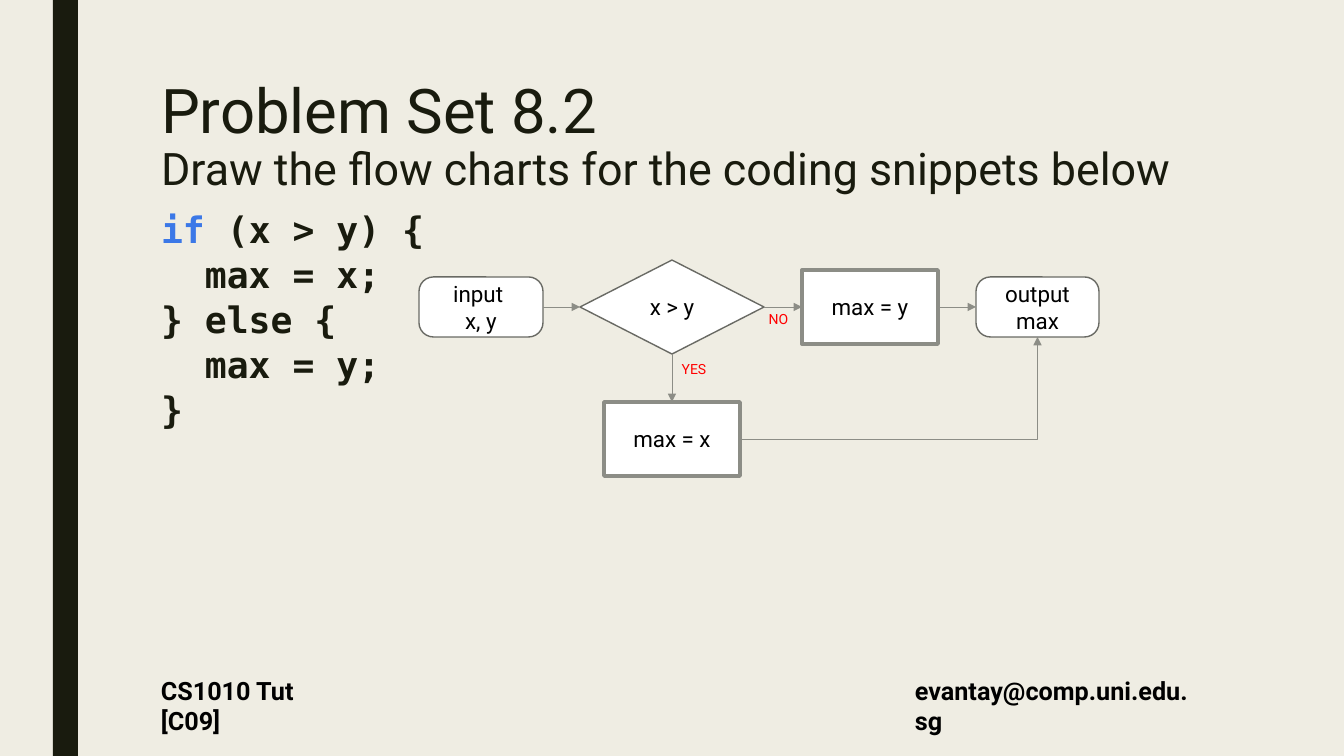
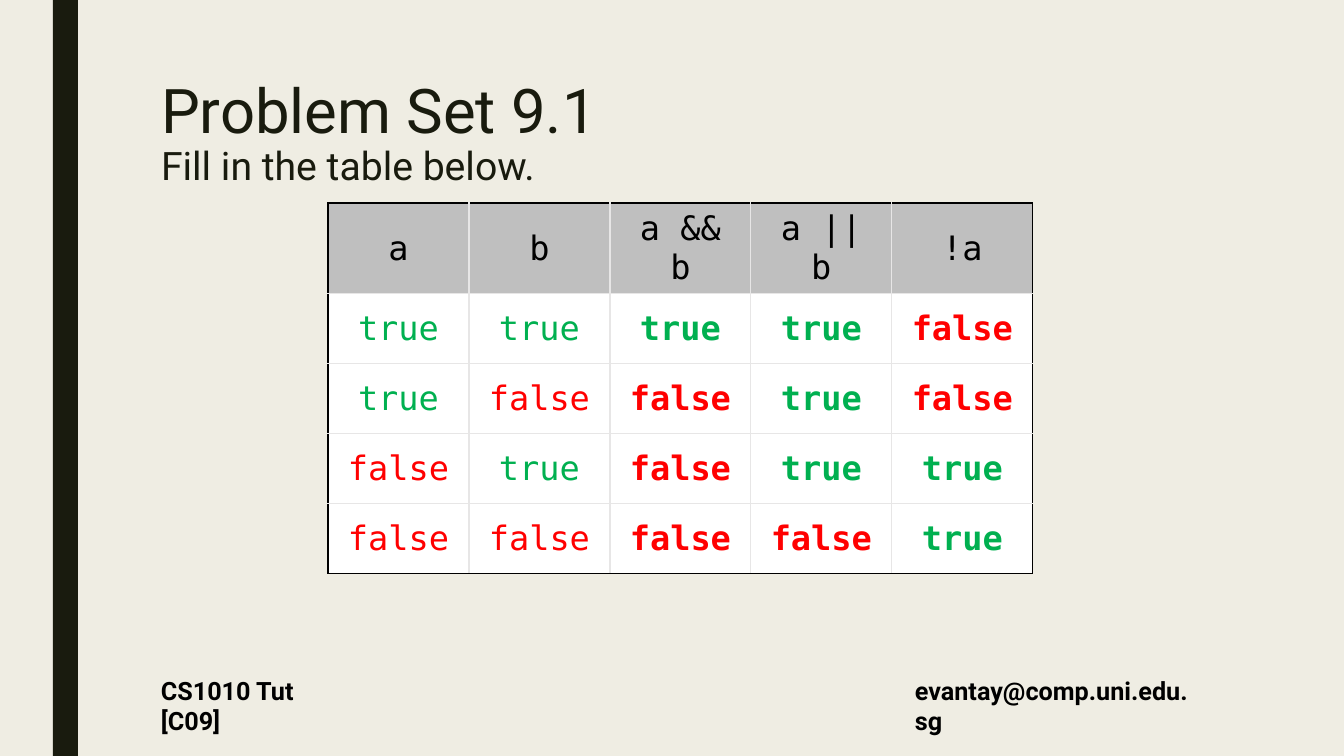
"""Build two tutorial slides: an if/else flow chart and a truth table."""
from lxml import etree
from pptx import Presentation
from pptx import util as u
from pptx.dml.color import RGBColor
from pptx.enum import shapes, text
from pptx.oxml import ns

PX = 914400 / 100.8
WIDTH, HEIGHT = 1344, 756

PAPER = RGBColor(0xEF, 0xED, 0xE3)
INK = RGBColor(0x19, 0x1B, 0x0E)
BLACK = RGBColor(0, 0, 0)
WHITE = RGBColor(0xFF, 0xFF, 0xFF)
KEYWORD = RGBColor(0x3B, 0x78, 0xE7)
OUTLINE = RGBColor(0x69, 0x6A, 0x64)
ARROW = RGBColor(0x8C, 0x8D, 0x86)
GRID = RGBColor(0xE7, 0xE6, 0xE6)
HEADER = RGBColor(0xBF, 0xBF, 0xBF)
GREEN = RGBColor(0, 0xB0, 0x50)
RED = RGBColor(0xFF, 0, 0)

SANS, MONO = "Roboto", "DejaVu Sans Mono"
LEFT, CENTER = text.PP_ALIGN.LEFT, text.PP_ALIGN.CENTER
TOP, MIDDLE = text.MSO_ANCHOR.TOP, text.MSO_ANCHOR.MIDDLE
RECT, ROUND, DIAMOND = (shapes.MSO_SHAPE.RECTANGLE, shapes.MSO_SHAPE.ROUNDED_RECTANGLE,
                        shapes.MSO_SHAPE.DIAMOND)
SITE = {"top": 0, "left": 1, "bottom": 2, "right": 3}

BAND = (53, 0, 25, HEIGHT)
TITLE_BOX = (151, 76, 1058, 163)
CODE_BOX = (151, 201, 521, 480)
FOOTERS = [("CS1010 Tut [C09]", (151, 670, 212, 40)),
           ("evantay@comp.uni.edu.sg", (905, 670, 304, 40))]

FLOW_TITLE = [("Problem Set 8.2", 44),
              ("Draw the flow charts for the coding snippets below", 32)]
CODE = [("if", KEYWORD),
        (" (x > y) {\v  max = x;\v} else {\v  max = y;\v}", INK)]
NODES = {
    "input": (ROUND, (419, 277, 124, 60), ["input ", "x, y"]),
    "test": (DIAMOND, (580, 260, 184, 94), ["x > y"]),
    "max_y": (RECT, (802, 270, 136, 74), ["max = y"]),
    "max_x": (RECT, (604, 402, 136, 74), ["max = x"]),
    "output": (ROUND, (976, 277, 123, 60), ["output max"]),
}
ARROWS = [("input", "right", "test", "left"),
          ("test", "right", "max_y", "left"),
          ("test", "bottom", "max_x", "top"),
          ("max_y", "right", "output", "left"),
          ("max_x", "right", "output", "bottom")]
BRANCHES = [("YES", (677, 357, 34, 23)), ("NO", (765, 307, 27, 23))]

TABLE_TITLE = [("Problem Set 9.1", 44), ("Fill in the table below.", 28)]
TRUTH = [
    ["a", "b", "a && b", "a || b", "!a"],
    ["true", "true", "true", "true", "false"],
    ["true", "false", "false", "true", "false"],
    ["false", "true", "false", "true", "true"],
    ["false", "false", "false", "false", "true"],
]
TABLE_LEFT, TABLE_TOP, COLUMN, ROW = 328, 203, 141, 70
GIVEN_COLUMNS = 2
VALUE_COLORS = {"true": GREEN, "false": RED}


def px(*lengths):
    return [u.Emu(round(length * PX)) for length in lengths]


def apply(target, **values):
    for name, value in values.items():
        setattr(target, name, value)


def write(paragraph, words, color, **font):
    run = paragraph.add_run()
    run.text = words
    apply(run.font, **font)
    run.font.color.rgb = color
    return run


def fill_lines(frame, lines, color, align=CENTER, **font):
    for index, words in enumerate(lines):
        paragraph = frame.add_paragraph() if index else frame.paragraphs[0]
        paragraph.alignment = align
        write(paragraph, words, color, **font)


def tight(frame):
    apply(frame, vertical_anchor=MIDDLE, **{
        f"margin_{side}": u.Inches(0.03) for side in SITE})


def move(placeholder, box):
    apply(placeholder, **dict(zip(("left", "top", "width", "height"), px(*box))))
    apply(placeholder.text_frame, vertical_anchor=TOP, word_wrap=True,
          auto_size=text.MSO_AUTO_SIZE.NONE)


def add_box(slide, kind, box, fill, line=None, weight=1):
    shape = slide.shapes.add_shape(kind, *px(*box))
    shape.shadow.inherit = False
    shape.fill.solid()
    shape.fill.fore_color.rgb = fill
    if line is None:
        shape.line.fill.background()
    else:
        shape.line.color.rgb = line
        shape.line.width = u.Pt(weight)
    return shape


def start_slide(prs, layout, title_lines):
    slide = prs.slides.add_slide(prs.slide_layouts[layout])
    add_box(slide, RECT, BAND, INK)
    for words, box in FOOTERS:
        frame = slide.shapes.add_textbox(*px(*box)).text_frame
        frame.word_wrap = True
        fill_lines(frame, [words], BLACK, LEFT, name=SANS, size=u.Pt(18), bold=True)
    title = slide.shapes.title
    move(title, TITLE_BOX)
    for index, (words, size) in enumerate(title_lines):
        frame = title.text_frame
        paragraph = frame.add_paragraph() if index else frame.paragraphs[0]
        apply(paragraph, alignment=LEFT, line_spacing=0.89)
        write(paragraph, words, INK, name=SANS, size=u.Pt(size))
    return slide


def add_code(slide):
    body = slide.placeholders[1]
    move(body, CODE_BOX)
    paragraph = body.text_frame.paragraphs[0]
    apply(paragraph, alignment=LEFT, line_spacing=1.03,
          space_before=u.Pt(10), space_after=u.Pt(2))
    properties = paragraph._p.get_or_add_pPr()
    properties.set("marL", "0")
    properties.set("indent", "0")
    etree.SubElement(properties, ns.qn("a:buNone"))
    for words, color in CODE:
        for index, line in enumerate(words.split("\v")):
            if index:
                paragraph.add_line_break()
            write(paragraph, line, color, name=MONO, size=u.Pt(26), bold=True)


def add_node(slide, kind, box, lines):
    is_step = kind == RECT
    node = add_box(slide, kind, box, WHITE, ARROW if is_step else OUTLINE,
                   2.75 if is_step else 1)
    if kind == ROUND:
        node.adjustments[0] = 0.24
    tight(node.text_frame)
    node.text_frame.word_wrap = True
    fill_lines(node.text_frame, lines, BLACK, name=SANS, size=u.Pt(16))
    return node


def add_arrow(slide, source, source_side, target, target_side):
    bent = (source_side, target_side) == ("right", "bottom")
    kind = shapes.MSO_CONNECTOR.ELBOW if bent else shapes.MSO_CONNECTOR.STRAIGHT
    arrow = slide.shapes.add_connector(kind, 0, 0, 0, 0)
    arrow.begin_connect(source, SITE[source_side])
    arrow.end_connect(target, SITE[target_side])
    arrow.line.color.rgb = ARROW
    arrow.line.width = u.Pt(0.5)
    etree.SubElement(arrow.line._get_or_add_ln(), ns.qn("a:tailEnd"), type="triangle")
    properties = arrow._element.spPr
    etree.SubElement(properties, ns.qn("a:effectLst"))
    if bent:
        properties.find(ns.qn("a:prstGeom")).set("prst", "bentConnector2")


def build_flow_chart(prs):
    slide = start_slide(prs, 1, FLOW_TITLE)
    add_code(slide)
    nodes = {name: add_node(slide, *node) for name, node in NODES.items()}
    for source, source_side, target, target_side in ARROWS:
        add_arrow(slide, nodes[source], source_side, nodes[target], target_side)
    for words, box in BRANCHES:
        frame = slide.shapes.add_textbox(*px(*box)).text_frame
        tight(frame)
        frame.word_wrap = False
        fill_lines(frame, [words], RED, name=SANS, size=u.Pt(10))


def add_borders(cell, outer):
    properties = cell._tc.get_or_add_tcPr()
    for side in ("left", "right", "top", "bottom"):
        line = etree.SubElement(properties, ns.qn(f"a:ln{side[0].upper()}"), w="12700")
        solid = etree.SubElement(line, ns.qn("a:solidFill"))
        etree.SubElement(solid, ns.qn("a:srgbClr"),
                         val=str(BLACK if side in outer else GRID))


def build_truth_table(prs):
    slide = start_slide(prs, 5, TABLE_TITLE)
    rows, columns = len(TRUTH), len(TRUTH[0])
    table = slide.shapes.add_table(rows, columns, *px(
        TABLE_LEFT, TABLE_TOP, columns * COLUMN, rows * ROW)).table
    apply(table, first_row=False, horz_banding=False)
    for r, values in enumerate(TRUTH):
        for c, value in enumerate(values):
            cell = table.cell(r, c)
            edges = {"top": r == 0, "bottom": r == rows - 1,
                     "left": c == 0, "right": c == columns - 1}
            add_borders(cell, [side for side, outer in edges.items() if outer])
            cell.vertical_anchor = MIDDLE
            cell.fill.solid()
            cell.fill.fore_color.rgb = WHITE if r else HEADER
            fill_lines(cell.text_frame, [value], VALUE_COLORS.get(value, BLACK),
                       name=MONO, size=u.Pt(24), bold=r > 0 and c >= GIVEN_COLUMNS)


def main():
    prs = Presentation()
    prs.slide_width, prs.slide_height = px(WIDTH, HEIGHT)
    background = prs.slide_master.background.fill
    background.solid()
    background.fore_color.rgb = PAPER
    build_flow_chart(prs)
    build_truth_table(prs)
    prs.save("out.pptx")


if __name__ == "__main__":
    main()
